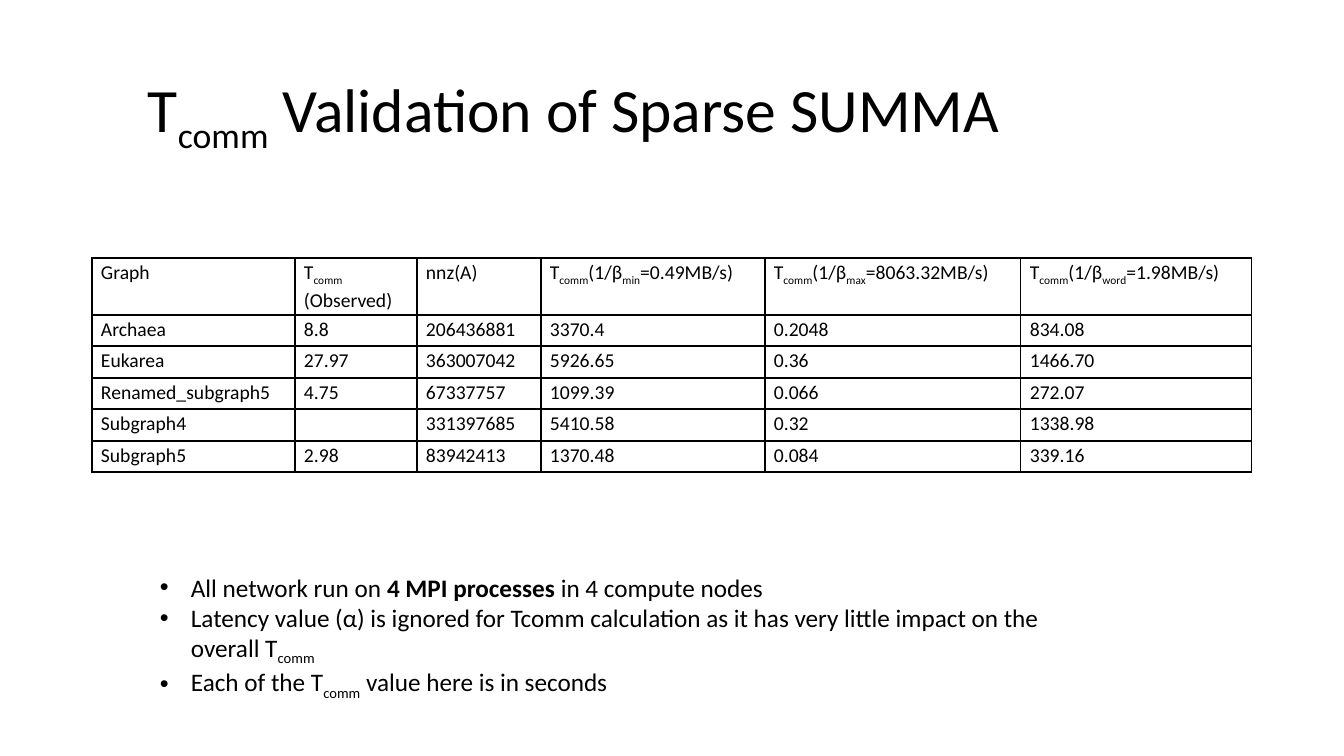
from lxml import etree
from pptx import Presentation
from pptx.dml.color import RGBColor
from pptx.enum.text import MSO_ANCHOR, MSO_AUTO_SIZE, PP_ALIGN
from pptx.oxml import parse_xml
from pptx.oxml.ns import nsdecls, qn
from pptx.util import Pt

BLACK = RGBColor(0x00, 0x00, 0x00)
FONT = "Calibri"
SLIDE_WIDTH, SLIDE_HEIGHT = 1344, 756


def px(length):
    return round(length * 12192000 / SLIDE_WIDTH)


def write(paragraph, text, size, accent="subscript", align=PP_ALIGN.LEFT, spacing=None, bullet_indent=0):
    """Write text whose parts between bars take the accent: subscript or bold."""
    if bullet_indent:
        properties = paragraph._p.get_or_add_pPr()
        properties.set("marL", str(px(bullet_indent)))
        properties.set("indent", str(-px(bullet_indent)))
        etree.SubElement(properties, qn("a:buFont"), typeface="Arial")
        etree.SubElement(properties, qn("a:buChar"), char="•")
    paragraph.alignment = align
    paragraph.line_spacing = spacing
    for position, part in enumerate(text.split("|")):
        run = paragraph.add_run()
        run.text = part
        run.font.name = FONT
        run.font.size = Pt(size)
        run.font.color.rgb = BLACK
        if position % 2 and accent == "bold":
            run.font.bold = True
        elif position % 2:
            run._r.get_or_add_rPr().set("baseline", "-25000")


presentation = Presentation()
presentation.slide_width = px(SLIDE_WIDTH)
presentation.slide_height = px(SLIDE_HEIGHT)
slide = presentation.slides.add_slide(presentation.slide_layouts[5])

# Title
title = slide.shapes.title
title.left, title.top, title.width, title.height = px(93), px(38), px(962), px(144)
title.text_frame.vertical_anchor = MSO_ANCHOR.MIDDLE
title.text_frame.word_wrap = True
write(title.text_frame.paragraphs[0], "T|comm| Validation of Sparse SUMMA", 44,
      align=PP_ALIGN.CENTER, spacing=0.9)

# Table of observed and predicted communication times
COLUMN_WIDTHS = [203, 122, 124, 224, 256, 231]
ROW_HEIGHTS = [57, 31, 32, 31, 32, 31]
ROWS = [
    ["Graph", "T|comm| (Observed)", "nnz(A)", "T|comm|(1/β|min|=0.49MB/s)",
     "T|comm|(1/β|max|=8063.32MB/s)", "T|comm|(1/β|word|=1.98MB/s)"],
    ["Archaea", "8.8", "206436881", "3370.4", "0.2048", "834.08"],
    ["Eukarea", "27.97", "363007042", "5926.65", "0.36", "1466.70"],
    ["Renamed_subgraph5", "4.75", "67337757", "1099.39", "0.066", "272.07"],
    ["Subgraph4", "", "331397685", "5410.58", "0.32", "1338.98"],
    ["Subgraph5", "2.98", "83942413", "1370.48", "0.084", "339.16"],
]
table = slide.shapes.add_table(len(ROWS), len(COLUMN_WIDTHS), px(92), px(258),
                               px(sum(COLUMN_WIDTHS)), px(sum(ROW_HEIGHTS))).table
table.first_row = False
table.horz_banding = False
for column, width in zip(table.columns, COLUMN_WIDTHS):
    column.width = px(width)
for row, height, texts in zip(table.rows, ROW_HEIGHTS, ROWS):
    row.height = px(height)
    for cell, text in zip(row.cells, texts):
        cell.margin_left = cell.margin_right = px(9)
        cell.margin_top, cell.margin_bottom = px(1), 0
        for side in ("lnL", "lnR", "lnT", "lnB"):
            cell._tc.get_or_add_tcPr().append(parse_xml(
                f'<a:{side} {nsdecls("a")} w="{Pt(1)}"><a:solidFill>'
                f'<a:srgbClr val="{BLACK}"/></a:solidFill></a:{side}>'))
        cell.fill.background()
        write(cell.text_frame.paragraphs[0], text, 14, spacing=1.07)

# Notes on the measurements
NOTES = [
    ("All network run on |4 MPI processes| in 4 compute nodes", "bold"),
    ("Latency value (α) is ignored for Tcomm calculation as it has very little impact on the "
     "overall T|comm", "subscript"),
    ("Each of the T|comm| value here is in seconds", "subscript"),
]
notes_frame = slide.shapes.add_textbox(px(150), px(567), px(955), px(132)).text_frame
notes_frame.word_wrap = True
notes_frame.auto_size = MSO_AUTO_SIZE.SHAPE_TO_FIT_TEXT
for index, (text, accent) in enumerate(NOTES):
    paragraph = notes_frame.add_paragraph() if index else notes_frame.paragraphs[0]
    write(paragraph, text, 18, accent=accent, bullet_indent=31)

presentation.save("out.pptx")
